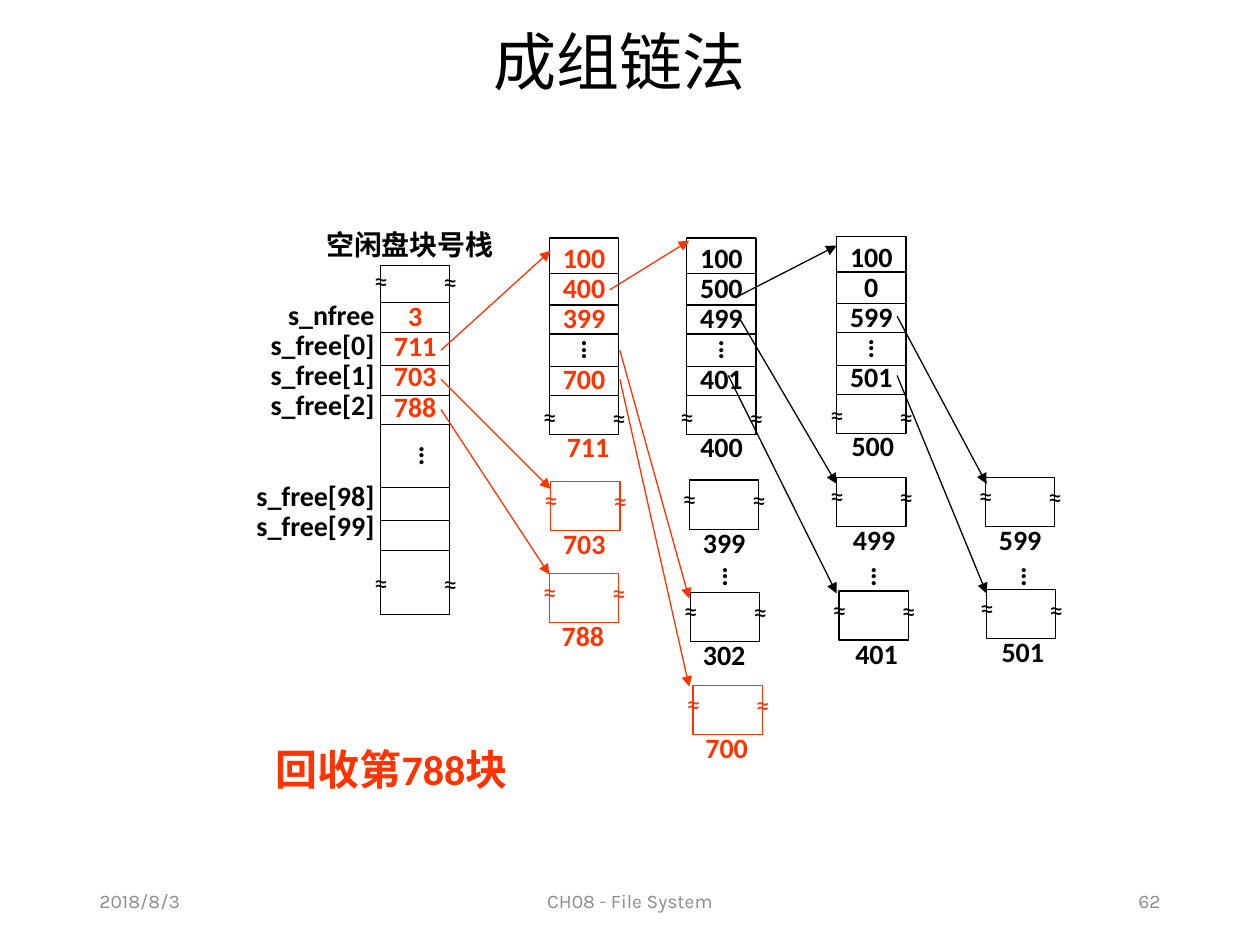
from lxml import etree
from pptx import Presentation
from pptx.dml.color import RGBColor
from pptx.enum.shapes import MSO_CONNECTOR, MSO_SHAPE
from pptx.enum.text import MSO_ANCHOR, PP_ALIGN
from pptx.oxml.ns import qn
from pptx.util import Inches, Pt

LEFT, CENTER, RIGHT = PP_ALIGN.LEFT, PP_ALIGN.CENTER, PP_ALIGN.RIGHT
TOP, MIDDLE = MSO_ANCHOR.TOP, MSO_ANCHOR.MIDDLE
RECTANGLE, STRAIGHT = MSO_SHAPE.RECTANGLE, MSO_CONNECTOR.STRAIGHT
BLACK, RED, GRAY = "000000", "FF3300", "8C8C8C"
LATIN, CJK, FOOTER = "Calibri", "Noto Sans CJK SC", "Karla"
BLOCK_WIDTH, BLOCK_HEIGHT, COLUMN_HEIGHT = 0.55, 0.39, 1.56
ROW_PITCH = 17.2


def rgb(value):
    return RGBColor.from_string(value)


class BlockDiagram:
    """Draws free-block stacks, disk blocks and links on one slide."""

    def __init__(self, slide):
        self.slide = slide

    def fill_text(self, frame, lines, color, size=16, bold=True, font=LATIN,
                  align=LEFT, spacing=None, gaps=None):
        frame.word_wrap = True
        for index, line in enumerate(lines):
            paragraph = frame.paragraphs[0] if index == 0 else frame.add_paragraph()
            paragraph.alignment = align
            if spacing:
                paragraph.line_spacing = spacing
            paragraph.space_before = Pt((gaps or {}).get(index, 0) * ROW_PITCH)
            run = paragraph.add_run()
            run.text = line
            run.font.size, run.font.bold = Pt(size), bold
            run.font.color.rgb = rgb(color)
            run.font.name = font
            etree.SubElement(run._r.get_or_add_rPr(), qn("a:ea"), typeface=CJK)

    def text(self, x, y, width, height, lines, color=BLACK, anchor=TOP, **style):
        box = self.slide.shapes.add_textbox(
            Inches(x), Inches(y), Inches(width), Inches(height))
        box.text_frame.vertical_anchor = anchor
        self.fill_text(box.text_frame, lines, color, **style)

    def rectangle(self, x, y, height, color=BLACK):
        shape = self.slide.shapes.add_shape(
            RECTANGLE, Inches(x), Inches(y), Inches(BLOCK_WIDTH), Inches(height))
        shape.shadow.inherit = False
        shape.fill.background()
        shape.line.color.rgb = rgb(color)
        shape.line.width = Pt(0.75)
        return shape

    def line(self, start, end, color=BLACK, arrow=False):
        connector = self.slide.shapes.add_connector(
            STRAIGHT, *(Inches(length) for length in (*start, *end)))
        connector.line.color.rgb = rgb(color)
        connector.line.width = Pt(0.75)
        properties = connector._element.spPr
        if arrow:
            etree.SubElement(properties.find(qn("a:ln")),
                             qn("a:tailEnd"), type="triangle")
        etree.SubElement(properties, qn("a:effectLst"))

    def breaks(self, x, y, color=BLACK):
        for left, top in ((x - 0.15, y), (x + 0.4, y + 0.01)):
            self.text(left, top, 0.31, 0.37, ["≈"], color, bold=False)

    def dots(self, x, y):
        self.text(x, y, 0.31, 0.26, ["."] * 3, align=CENTER, spacing=0.2)

    def caption(self, x, y, number, color):
        self.text(x, y, BLOCK_WIDTH, 0.37, [number], color)

    def stack(self, x, y, height, rows, numbers, color, gaps, top_inset):
        frame = self.rectangle(x, y, height).text_frame
        frame.vertical_anchor = TOP
        frame.margin_left = frame.margin_right = Inches(0.05)
        frame.margin_top = Inches(top_inset)
        self.fill_text(frame, numbers, color, align=CENTER, spacing=0.9, gaps=gaps)
        for row in rows:
            self.line((x, y + row), (x + BLOCK_WIDTH, y + row))

    def column(self, x, y, numbers, number, shift, color=BLACK):
        self.stack(x, y, COLUMN_HEIGHT, (0.28, 0.53, 0.76, 1.02, 1.25),
                   numbers, color, {3: 1}, 0.05)
        self.breaks(x, y + 1.23)
        self.dots(x + 0.12, y + 0.76)
        self.caption(x + shift, y + 1.47, number, color)

    def block(self, x, y, number, shift=0, color=BLACK):
        self.rectangle(x, y, BLOCK_HEIGHT, color)
        self.breaks(x, y - 0.04, color)
        self.caption(x + shift, y + 0.31, number, color)


def main():
    deck = Presentation()
    deck.slide_width, deck.slide_height = Inches(10), Inches(7.5)
    diagram = BlockDiagram(deck.slides.add_slide(deck.slide_layouts[6]))

    diagram.text(0.61, 0.14, 8.62, 0.76, ["成组链法"], anchor=MIDDLE, size=36,
                 bold=False, font=CJK, align=CENTER, spacing=0.9)
    for x, width, label, align in (
            (0.69, 2.25, "2018/8/3", LEFT),
            (3.31, 3.38, "CH08 - File System", CENTER),
            (7.06, 2.25, "62", RIGHT)):
        diagram.text(x, 6.95, width, 0.4, [label], GRAY, MIDDLE, size=11,
                     bold=False, font=FOOTER, align=align)

    diagram.text(2.49, 1.76, 1.57, 0.37, ["空闲盘块号栈"])
    diagram.stack(3.02, 2.11, 2.77, (0.29, 0.53, 0.79, 1.03, 1.26, 1.76, 2.02, 2.26),
                  ["3", "711", "703", "788"], RED, None, 0.29)
    diagram.dots(3.19, 3.49)
    for y in (2.04, 4.44):
        diagram.breaks(3.02, y)
    slots = ["s_nfree"] + [f"s_free[{index}]" for index in (0, 1, 2, 98, 99)]
    diagram.text(1.85, 2.34, 1.22, 2.03, slots, align=RIGHT, spacing=0.9, gaps={4: 2})

    diagram.column(4.36, 1.89, ["100", "400", "399", "700"], "711", 0.04, RED)
    diagram.column(5.45, 1.89, ["100", "500", "499", "401"], "400", 0.01)
    diagram.column(6.64, 1.88, ["100", "0", "599", "501"], "500", 0.02)

    for x, y, number, shift in (
            (5.47, 3.81, "399", 0.01), (6.64, 3.79, "499", 0.03),
            (7.82, 3.79, "599", 0.01), (5.48, 4.7, "302", 0),
            (6.66, 4.69, "401", 0.03), (7.83, 4.68, "501", 0.02)):
        diagram.block(x, y, number, shift)
    for x, y, number in ((4.37, 3.82, "703"), (4.36, 4.55, "788"), (5.5, 5.44, "700")):
        diagram.block(x, y, number, color=RED)
    for x in (5.6, 6.78, 7.97):
        diagram.dots(x, 4.45)

    links = {
        BLACK: (((5.86, 2.35), (6.64, 1.95)), ((5.86, 2.51), (6.64, 3.84)),
                ((5.78, 2.98), (6.64, 4.71)), ((7.12, 2.51), (7.83, 3.84)),
                ((7.12, 2.98), (7.83, 4.71))),
        RED: (((3.5, 2.78), (4.37, 1.99)), ((3.5, 3.01), (4.37, 3.88)),
              ((3.5, 3.25), (4.36, 4.56)), ((4.84, 2.3), (5.47, 1.91)),
              ((4.92, 2.78), (5.47, 4.75)), ((4.92, 3.01), (5.47, 5.45))),
    }
    for color, ends in links.items():
        for start, end in ends:
            diagram.line(start, end, color, arrow=True)

    diagram.text(2.09, 5.85, 2.2, 0.5, ["回收第788块"], RED, size=24)
    deck.save("out.pptx")


if __name__ == "__main__":
    main()
